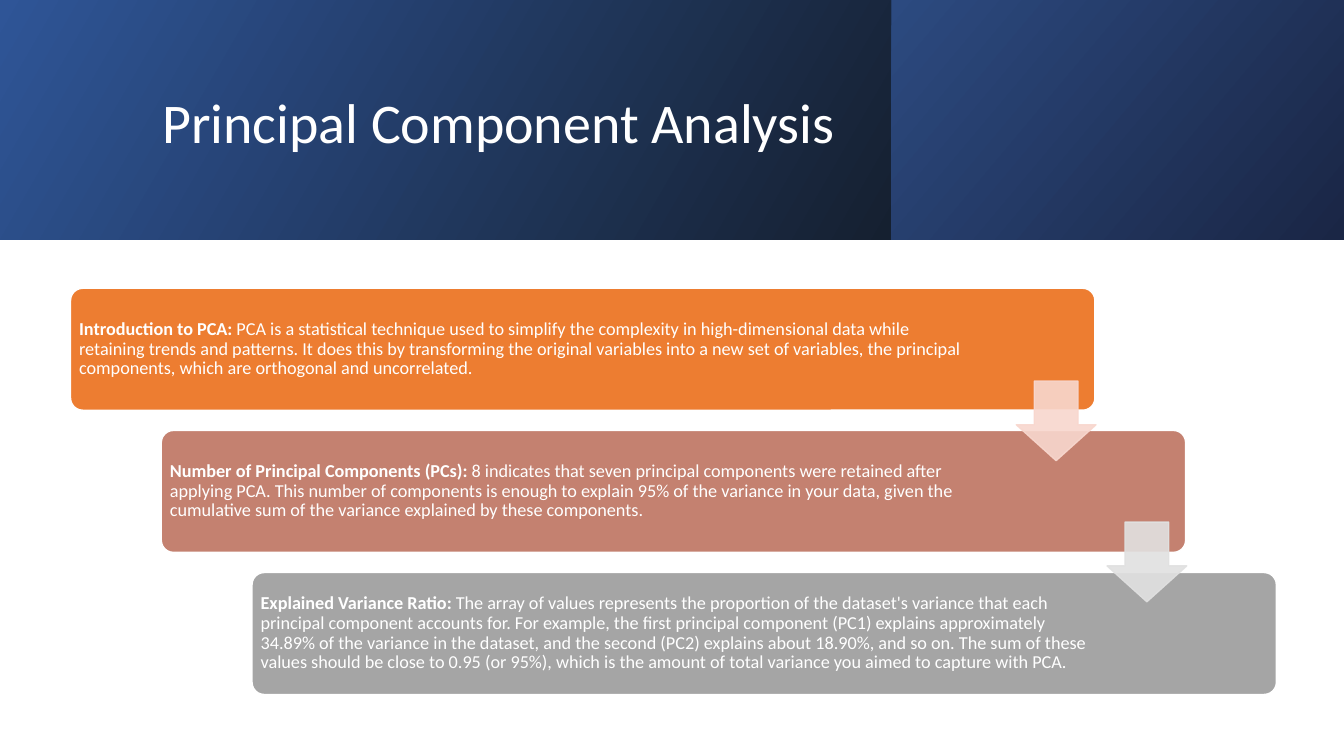
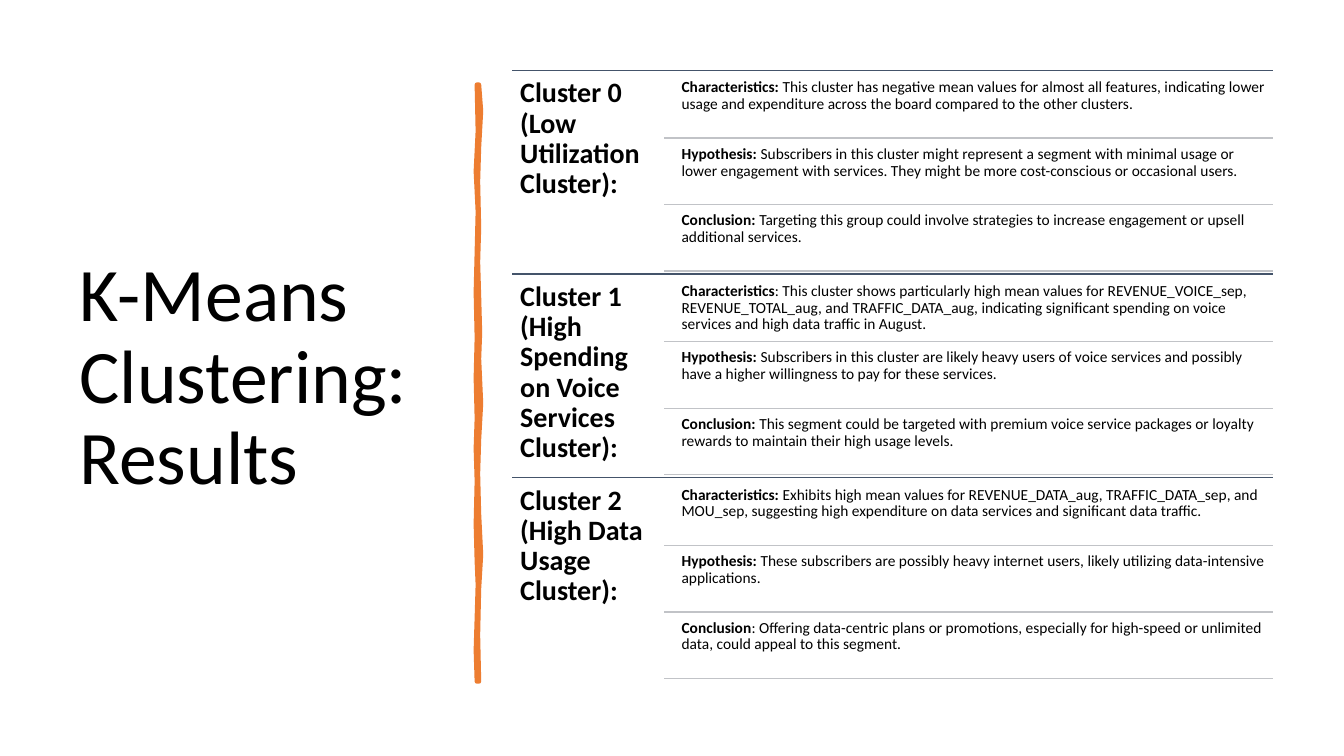
from lxml import etree
from pptx import Presentation
from pptx.dml.color import RGBColor
from pptx.enum.shapes import MSO_CONNECTOR, MSO_SHAPE
from pptx.enum.text import MSO_ANCHOR, MSO_AUTO_SIZE, PP_ALIGN
from pptx.oxml.ns import qn
from pptx.util import Inches, Pt

RECT = MSO_SHAPE.RECTANGLE
ROUND = MSO_SHAPE.ROUNDED_RECTANGLE
ARROW = MSO_SHAPE.DOWN_ARROW
LINE = MSO_CONNECTOR.STRAIGHT
LEFT = PP_ALIGN.LEFT
TOP, MID = MSO_ANCHOR.TOP, MSO_ANCHOR.MIDDLE

FONT = "Calibri"
HEX = {
    "white": "FFFFFF", "black": "000000", "orange": "ED7D31",
    "rose": "C48170", "gray": "A5A5A5", "pink": "F8D7CE",
    "silver": "E1E1E1", "slate": "44546A", "pale": "C1C3C7",
    "blue": "2F5597", "night": "152030", "steel": "2C4A80", "navy": "1A2645",
}
RGB = {name: RGBColor.from_string(code) for name, code in HEX.items()}


def write(shape, runs, size, color, anchor=TOP, pad=0.05, right=None):
    """Fill a shape with one left-aligned paragraph of (text, bold) runs."""
    frame = shape.text_frame
    side = Inches(pad)
    form = {
        "word_wrap": True, "auto_size": MSO_AUTO_SIZE.NONE,
        "vertical_anchor": anchor, "margin_left": side, "margin_top": side,
        "margin_bottom": side,
        "margin_right": side if right is None else Inches(right),
    }
    for name, value in form.items():
        setattr(frame, name, value)
    para = frame.paragraphs[0]
    para.alignment = LEFT
    para.line_spacing = 0.9
    for text, bold in runs:
        run = para.add_run()
        run.text = text
        for name, value in {"name": FONT, "size": Pt(size), "bold": bold}.items():
            setattr(run.font, name, value)
        run.font.color.rgb = RGB[color]


def rule(slide, left, end, y, color):
    """Draw a thin level line."""
    line = slide.shapes.add_connector(
        LINE, Inches(left), Inches(y), Inches(end), Inches(y))
    line.line.color.rgb = RGB[color]
    line.line.width = Pt(1)
    etree.SubElement(line._element.spPr, qn("a:effectLst"))


deck = Presentation()
deck.slide_width, deck.slide_height = Inches(13.33), Inches(7.5)
layout = deck.slide_layouts[5]

# Slide 1: blue band, then three steps going down to the right
slide = deck.slides.add_slide(layout)
title = slide.shapes.title

bands = [
    (0, 8.84, 330, "blue", "night"),
    (8.84, 4.49, 320, "steel", "navy"),
]
for left, width, angle, start, end in bands:
    band = slide.shapes.add_shape(
        RECT, Inches(left), 0, Inches(width), Inches(2.38))
    band.shadow.inherit = False
    band.line.fill.background()
    band.fill.gradient()
    band.fill.gradient_angle = angle
    for stop, spot, color in zip(band.fill.gradient_stops, (0, 1), (start, end)):
        stop.position = spot
        stop.color.rgb = RGB[color]
    title._element.addprevious(band._element)

title.left, title.top = Inches(1.51), Inches(0.38)
title.width, title.height = Inches(10.63), Inches(1.72)
write(title, [("Principal Component Analysis", False)], 40, "white", MID, 0.1)

steps = [
    ("orange", 1.29, "Introduction to PCA: ",
     "PCA is a statistical technique used to simplify the complexity in "
     "high-dimensional data while retaining trends and patterns. It does this "
     "by transforming the original variables into a new set of variables, the "
     "principal components, which are orthogonal and uncorrelated."),
    ("rose", 1.73, "Number of Principal Components (PCs): ",
     "8 indicates that seven principal components were retained after applying "
     "PCA. This number of components is enough to explain 95% of the variance "
     "in your data, given the cumulative sum of the variance explained by "
     "these components."),
    ("gray", 1.73, "Explained Variance Ratio: ",
     "The array of values represents the proportion of the dataset's variance "
     "that each principal component accounts for. For example, the first "
     "principal component (PC1) explains approximately 34.89% of the variance "
     "in the dataset, and the second (PC2) explains about 18.90%, and so on. "
     "The sum of these values should be close to 0.95 (or 95%), which is the "
     "amount of total variance you aimed to capture with PCA."),
]
for i, (color, right, head, body) in enumerate(steps):
    box = slide.shapes.add_shape(
        ROUND, Inches(0.7 + 0.9 * i), Inches(2.86 + 1.41 * i),
        Inches(10.16), Inches(1.21))
    box.adjustments[0] = 0.1
    box.shadow.inherit = False
    box.fill.solid()
    box.fill.fore_color.rgb = RGB[color]
    box.line.color.rgb = RGB["white"]
    box.line.width = Pt(1)
    write(box, [(head, True), (body, False)], 13, "white", MID, 0.05, right)

for i, color in enumerate(("pink", "silver")):
    arrow = slide.shapes.add_shape(
        ARROW, Inches(10.08 + 0.9 * i), Inches(3.78 + 1.4 * i),
        Inches(0.79), Inches(0.79))
    arrow.adjustments[0], arrow.adjustments[1] = 0.45, 0.55
    # This preset lists the shaft width first, then the head length
    arrow.adjustments[0], arrow.adjustments[1] = 0.55, 0.45
    arrow.shadow.inherit = False
    arrow.fill.solid()
    arrow.fill.fore_color.rgb = RGB[color]
    arrow.line.color.rgb = RGB[color]
    arrow.line.width = Pt(1)
    for tint in arrow._element.spPr.iter(qn("a:srgbClr")):
        etree.SubElement(tint, qn("a:alpha"), val="90000")

# Slide 2: title, brush stroke, then three clusters of three notes
slide = deck.slides.add_slide(layout)
title = slide.shapes.title
title.left, title.top = Inches(0.69), Inches(0.7)
title.width, title.height = Inches(3.74), Inches(6.11)
write(title, [("K-Means Clustering: Results", False)], 54, "black", MID, 0.1)

edge = [
    (4.75, 0.84), (4.77, 1.1), (4.75, 1.46), (4.74, 1.8), (4.75, 2.26),
    (4.74, 2.6), (4.75, 2.94), (4.76, 3.3), (4.75, 3.56), (4.77, 4),
    (4.75, 4.36), (4.74, 4.7), (4.75, 5.1), (4.77, 5.5), (4.75, 5.84),
    (4.74, 6.3), (4.75, 6.76), (4.73, 6.76), (4.72, 6.45), (4.73, 6.13),
    (4.74, 5.8), (4.73, 5.57), (4.72, 5.2), (4.73, 4.77), (4.72, 4.45),
    (4.73, 4.15), (4.72, 3.75), (4.73, 3.35), (4.72, 2.9), (4.73, 2.5),
    (4.74, 2.1), (4.72, 1.7), (4.74, 1.3), (4.73, 0.84),
]
points = [(Inches(x), Inches(y)) for x, y in edge]
pen = slide.shapes.build_freeform(*points[0])
pen.add_line_segments(points[1:], close=True)
brush = pen.convert_to_shape()
brush.shadow.inherit = False
brush.fill.solid()
brush.fill.fore_color.rgb = RGB["orange"]
brush.line.color.rgb = RGB["orange"]
brush.line.width = Pt(3.25)

groups = [
    ("Cluster 0 (Low Utilization Cluster):", [
        ("Characteristics: ",
         "This cluster has negative mean values for almost all features, "
         "indicating lower usage and expenditure across the board compared to "
         "the other clusters."),
        ("Hypothesis: ",
         "Subscribers in this cluster might represent a segment with minimal "
         "usage or lower engagement with services. They might be more "
         "cost-conscious or occasional users."),
        ("Conclusion: ",
         "Targeting this group could involve strategies to increase "
         "engagement or upsell additional services."),
    ]),
    ("Cluster 1 (High Spending on Voice Services Cluster):", [
        ("Characteristics",
         ": This cluster shows particularly high mean values for "
         "REVENUE_VOICE_sep, REVENUE_TOTAL_aug, and TRAFFIC_DATA_aug, "
         "indicating significant spending on voice services and high data "
         "traffic in August."),
        ("Hypothesis: ",
         "Subscribers in this cluster are likely heavy users of voice "
         "services and possibly have a higher willingness to pay for these "
         "services."),
        ("Conclusion: ",
         "This segment could be targeted with premium voice service packages "
         "or loyalty rewards to maintain their high usage levels."),
    ]),
    ("Cluster 2 (High Data Usage Cluster):", [
        ("Characteristics: ",
         "Exhibits high mean values for REVENUE_DATA_aug, TRAFFIC_DATA_sep, "
         "and MOU_sep, suggesting high expenditure on data services and "
         "significant data traffic."),
        ("Hypothesis: ",
         "These subscribers are possibly heavy internet users, likely "
         "utilizing data-intensive applications."),
        ("Conclusion",
         ": Offering data-centric plans or promotions, especially for "
         "high-speed or unlimited data, could appeal to this segment."),
    ]),
]
for i, (name, notes) in enumerate(groups):
    top = 0.7 + 2.02 * i
    rule(slide, 5.08, 12.63, top, "slate")
    label = slide.shapes.add_textbox(
        Inches(5.08), Inches(top), Inches(1.51), Inches(2.02))
    write(label, [(name, True)], 20, "black", pad=0.08)
    for j, (head, body) in enumerate(notes):
        y = top + 0.04 + 0.66 * j
        note = slide.shapes.add_textbox(
            Inches(6.71), Inches(y), Inches(5.92), Inches(0.63))
        write(note, [(head, True), (body, False)], 11, "black")
        rule(slide, 6.59, 12.63, y + 0.63, "pale")

deck.save("out.pptx")
